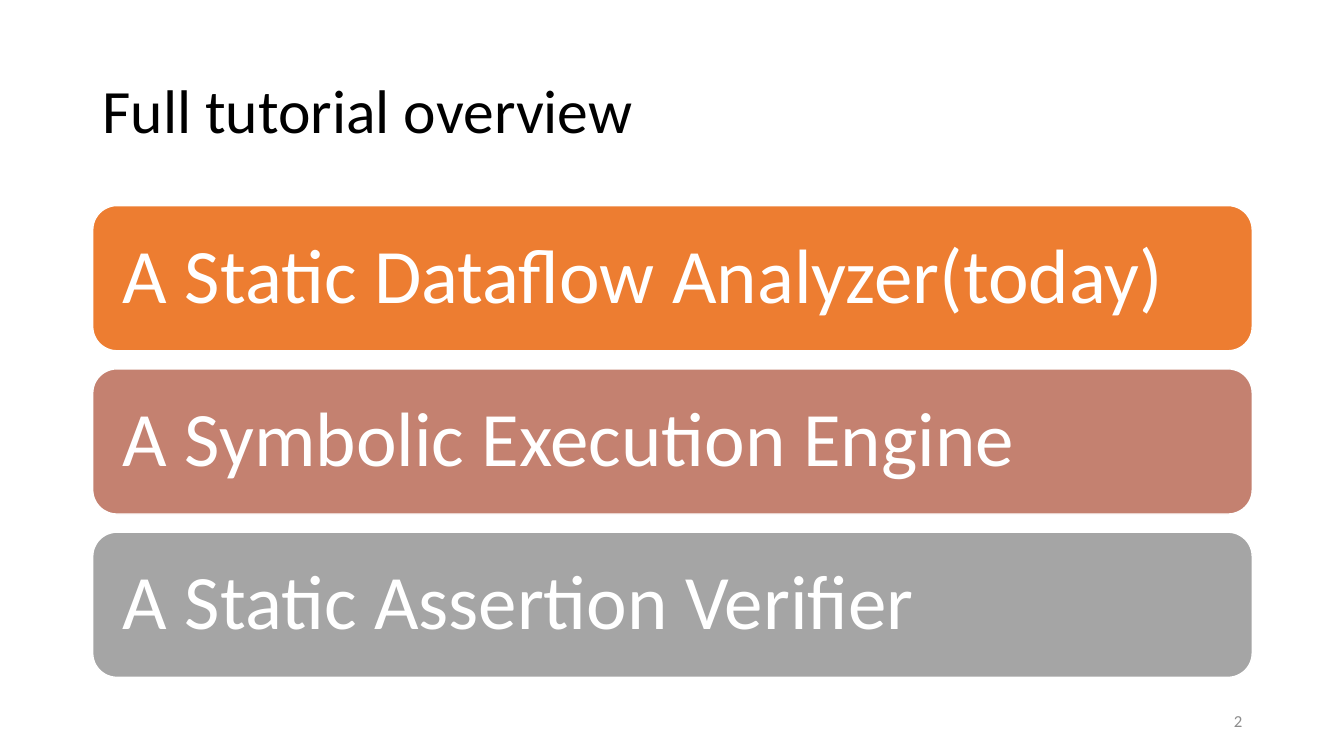
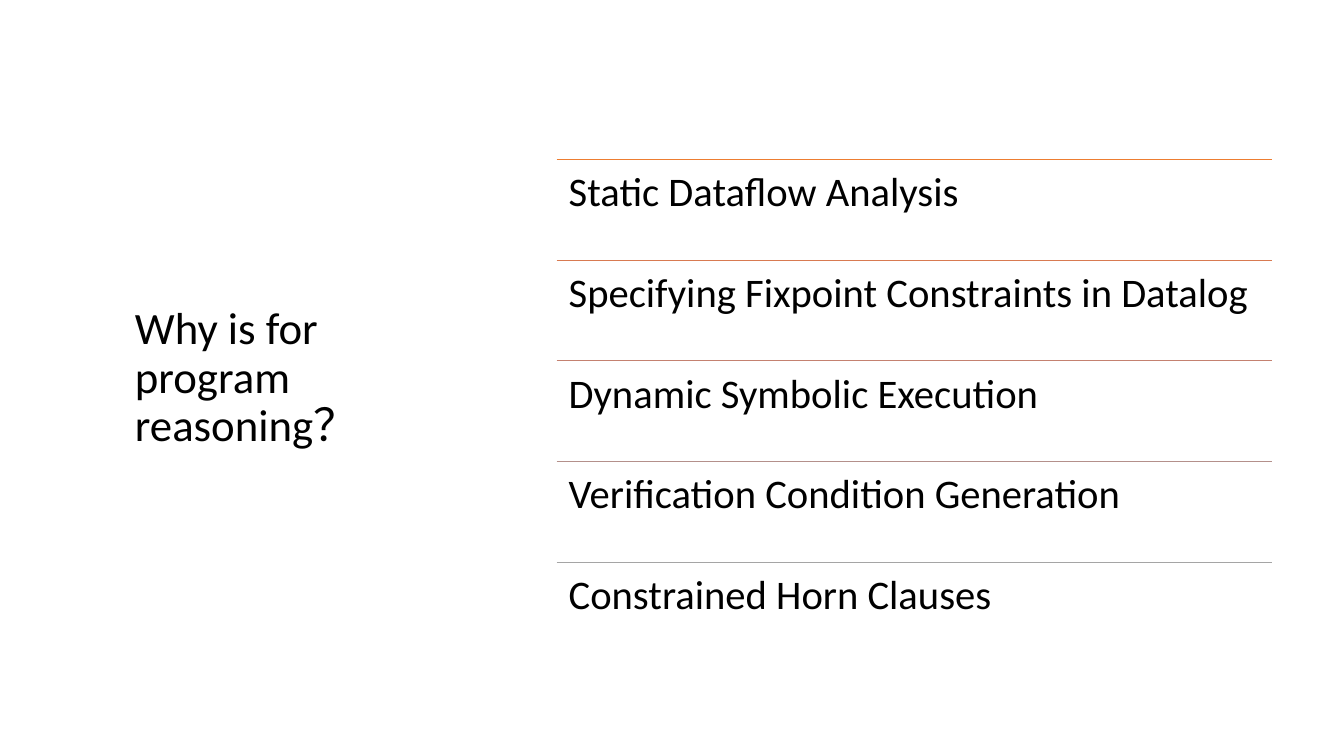
from pptx import Presentation
from pptx.dml.color import RGBColor
from pptx.enum.shapes import MSO_CONNECTOR, MSO_SHAPE
from pptx.enum.text import MSO_ANCHOR, PP_ALIGN
from pptx.oxml.ns import qn
from pptx.util import Pt
from lxml.etree import SubElement

PX = 9144
FONT = "Calibri"
COLORS = {
    "text": "000000",
    "white": "FFFFFF",
    "number": "8C8C8C",
    "orange": "ED7D31",
    "copper": "D87A51",
    "rose": "C48170",
    "taupe": "B4908B",
    "gray": "A5A5A5",
}


def color(name):
    return RGBColor.from_string(COLORS[name])


def write(shape, text, size, color_name="text", anchor=MSO_ANCHOR.MIDDLE,
          align=PP_ALIGN.LEFT, spacing=0.9, inset=None):
    frame = shape.text_frame
    frame.word_wrap = True
    frame.vertical_anchor = anchor
    if inset is not None:
        frame.margin_left = frame.margin_right = inset * PX
        frame.margin_top = frame.margin_bottom = inset * PX
    paragraph = frame.paragraphs[0]
    paragraph.text = text
    paragraph.alignment = align
    paragraph.line_spacing = spacing
    paragraph.font.name = FONT
    paragraph.font.size = Pt(size)
    paragraph.font.color.rgb = color(color_name)


presentation = Presentation()
presentation.slide_width = 1333 * PX
presentation.slide_height = 750 * PX
blank = presentation.slide_layouts[6]

slide = presentation.slides.add_slide(blank)
title = slide.shapes.add_textbox(92 * PX, 40 * PX, 1150 * PX, 145 * PX)
write(title, "Full tutorial overview", 44)
number = slide.shapes.add_textbox(942 * PX, 695 * PX, 300 * PX, 40 * PX)
write(number, "2", 12, "number", align=PP_ALIGN.RIGHT, spacing=1.0)

bands = [
    ("A Static Dataflow Analyzer(today)", "orange"),
    ("A Symbolic Execution Engine", "rose"),
    ("A Static Assertion Verifier", "gray"),
]
BAND_TOP, BAND_HEIGHT, BAND_GAP = 204, 144, 18
for index, (text, fill) in enumerate(bands):
    top = BAND_TOP + index * (BAND_HEIGHT + BAND_GAP)
    band = slide.shapes.add_shape(MSO_SHAPE.ROUNDED_RECTANGLE, 92 * PX, top * PX,
                                  1150 * PX, BAND_HEIGHT * PX)
    band.shadow.inherit = False
    band.fill.solid()
    band.fill.fore_color.rgb = color(fill)
    band.line.color.rgb = color("white")
    band.line.width = Pt(1)
    write(band, text, 55, "white", inset=23)

slide = presentation.slides.add_slide(blank)
title = slide.shapes.add_textbox(124 * PX, 290 * PX, 254 * PX, 171 * PX)
write(title, "Why is for program reasoning？", 32)

topics = [
    ("Static Dataflow Analysis", "orange"),
    ("Specifying Fixpoint Constraints in Datalog", "copper"),
    ("Dynamic Symbolic Execution", "rose"),
    ("Verification Condition Generation", "taupe"),
    ("Constrained Horn Clauses", "gray"),
]
LIST_LEFT, LIST_TOP, LIST_WIDTH, ROW_HEIGHT = 552, 158, 710, 100
for index, (text, line) in enumerate(topics):
    top = LIST_TOP + index * ROW_HEIGHT
    rule = slide.shapes.add_connector(MSO_CONNECTOR.STRAIGHT, LIST_LEFT * PX, top * PX,
                                      (LIST_LEFT + LIST_WIDTH) * PX, top * PX)
    rule.line.color.rgb = color(line)
    rule.line.width = Pt(0.5)
    SubElement(rule.element.spPr, qn("a:effectLst"))
    topic = slide.shapes.add_textbox(LIST_LEFT * PX, top * PX,
                                     LIST_WIDTH * PX, ROW_HEIGHT * PX)
    write(topic, text, 29, anchor=MSO_ANCHOR.TOP, inset=12)

presentation.save("out.pptx")
